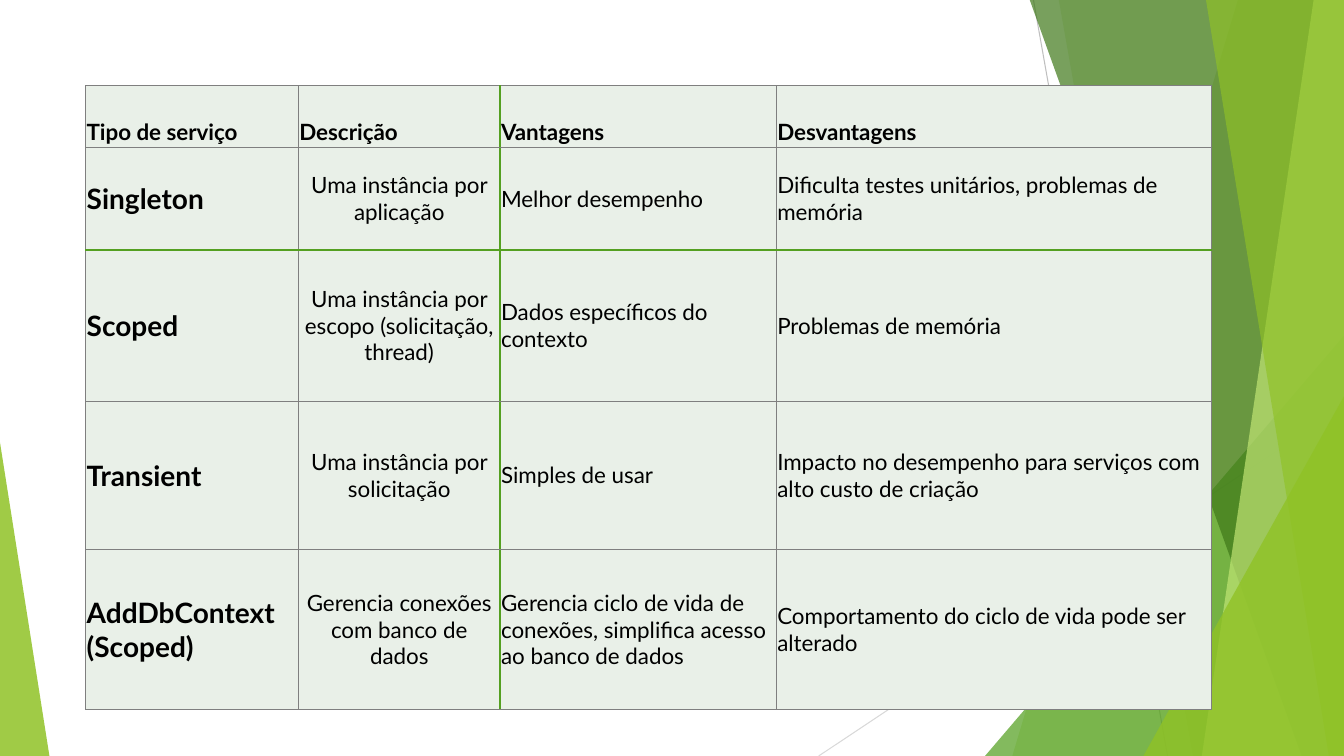
import pptx
import pptx.util
import pptx.dml.color
import pptx.enum.shapes
import pptx.enum.text
import pptx.oxml
import pptx.oxml.ns

Inches = pptx.util.Inches
Pt = pptx.util.Pt
RGBColor = pptx.dml.color.RGBColor
ALIGN = pptx.enum.text.PP_ALIGN
ANCHOR = pptx.enum.text.MSO_ANCHOR

LIME = RGBColor(0x90, 0xC2, 0x26)
GREEN = RGBColor(0x54, 0xA0, 0x21)
DARK = RGBColor(0x3F, 0x78, 0x19)
PALE = RGBColor(0xC0, 0xE4, 0x74)
MINT = RGBColor(0xE9, 0xF0, 0xE8)
BLACK = RGBColor(0, 0, 0)
GREY = RGBColor(0x7F, 0x7F, 0x7F)
SILVER = RGBColor(0xBF, 0xBF, 0xBF)
LIGHT = RGBColor(0xD9, 0xD9, 0xD9)

WIDTH, HEIGHT = 13.33, 7.5
COLS = [2.11, 2, 2.74, 4.32]
ROWS = [0.61, 1.02, 1.5, 1.47, 1.59]
TEXTS = [
    ["Tipo de serviço", "Descrição", "Vantagens", "Desvantagens"],
    ["Singleton", "Uma instância por aplicação", "Melhor desempenho",
     "Dificulta testes unitários, problemas de memória"],
    ["Scoped", "Uma instância por escopo (solicitação, thread)",
     "Dados específicos do contexto", "Problemas de memória"],
    ["Transient", "Uma instância por solicitação", "Simples de usar",
     "Impacto no desempenho para serviços com alto custo de criação"],
    ["AddDbContext (Scoped)", "Gerencia conexões com banco de dados",
     "Gerencia ciclo de vida de conexões, simplifica acesso ao banco de dados",
     "Comportamento do ciclo de vida pode ser alterado"],
]


def add_line(slide, start, end, color):
    kind = pptx.enum.shapes.MSO_CONNECTOR.STRAIGHT
    line = slide.shapes.add_connector(kind, *map(Inches, start + end))
    line.line.color.rgb = color
    line.line.width = Pt(0.75)
    props = line.element.spPr
    props.append(props.makeelement(pptx.oxml.ns.qn("a:effectLst"), {}))


def paint(shape, color, alpha):
    """Fill the shape with a see-through colour; alpha is in percent."""
    shape.shadow.inherit = False
    shape.line.fill.background()
    shape.fill.solid()
    shape.fill.fore_color.rgb = color
    tone = shape.element.spPr.find(".//" + pptx.oxml.ns.qn("a:srgbClr"))
    tone.append(tone.makeelement(pptx.oxml.ns.qn("a:alpha"),
                                 {"val": str(alpha * 1000)}))


def add_band(slide, top, foot, color, alpha):
    """Draw a band from a slanted left edge to the right slide edge."""
    pen = slide.shapes.build_freeform(Inches(top), Inches(-0.01))
    points = [(WIDTH, -0.01), (WIDTH, HEIGHT), (foot, HEIGHT)]
    pen.add_line_segments([(Inches(x), Inches(y)) for x, y in points])
    paint(pen.convert_to_shape(), color, alpha)


def add_wedge(slide, left, top, width, peak, color, alpha):
    """Draw a triangle that stands on the bottom edge of the slide."""
    kind = pptx.enum.shapes.MSO_SHAPE.ISOSCELES_TRIANGLE
    box = map(Inches, (left, top, width, HEIGHT - top))
    wedge = slide.shapes.add_shape(kind, *box)
    wedge.adjustments[0] = peak
    paint(wedge, color, alpha)


def add_decor(slide):
    add_line(slide, (10.25, 0), (11.58, HEIGHT), SILVER)
    add_line(slide, (WIDTH, 4.03), (8.12, HEIGHT), LIGHT)
    add_band(slide, 12.28, 10.04, LIME, 30)
    add_band(slide, 10.5, 11.83, LIME, 20)
    add_wedge(slide, 9.77, 3.33, 3.56, 1, GREEN, 72)
    add_band(slide, 10.21, 12.91, DARK, 70)
    add_band(slide, 13.03, 11.92, PALE, 70)
    add_band(slide, 11.96, 13.18, LIME, 65)
    add_wedge(slide, 11.34, 3.93, 1.99, 1, LIME, 80)
    add_wedge(slide, 0, 4.39, 0.49, 0, LIME, 85)


def set_border(cell, side, color):
    props = cell._tc.get_or_add_tcPr()
    props.append(pptx.oxml.parse_xml(
        f'<a:{side} {pptx.oxml.ns.nsdecls("a")} w="12700"><a:solidFill>'
        f'<a:srgbClr val="{color}"/></a:solidFill></a:{side}>'))


def fill_cell(cell, text, row, col):
    cell.margin_left = cell.margin_right = Inches(0.01)
    cell.margin_top = cell.margin_bottom = Inches(0.02)
    cell.vertical_anchor = ANCHOR.MIDDLE if row else ANCHOR.BOTTOM
    cell.text = text
    para = cell.text_frame.paragraphs[0]
    para.alignment = ALIGN.CENTER if row and col == 1 else ALIGN.LEFT
    para.font.name = "Lato"
    para.font.size = Pt(20 if row and col == 0 else 16)
    para.font.bold = row == 0 or col == 0
    para.font.color.rgb = BLACK
    # Green rules follow the second column and the second row.
    set_border(cell, "lnL", GREEN if col == 2 else GREY)
    set_border(cell, "lnR", GREEN if col == 1 else GREY)
    set_border(cell, "lnT", GREEN if row == 2 else GREY)
    set_border(cell, "lnB", GREEN if row == 1 else GREY)
    cell.fill.solid()
    cell.fill.fore_color.rgb = MINT


def add_grid(slide):
    box = map(Inches, (0.85, 0.85, sum(COLS), sum(ROWS)))
    table = slide.shapes.add_table(len(ROWS), len(COLS), *box).table
    for col, width in enumerate(COLS):
        table.columns[col].width = Inches(width)
    for row, height in enumerate(ROWS):
        table.rows[row].height = Inches(height)
        for col, text in enumerate(TEXTS[row]):
            fill_cell(table.cell(row, col), text, row, col)


def main():
    deck = pptx.Presentation()
    deck.slide_width = Inches(WIDTH)
    deck.slide_height = Inches(HEIGHT)
    slide = deck.slides.add_slide(deck.slide_layouts[6])
    add_decor(slide)
    add_grid(slide)
    deck.save("out.pptx")


if __name__ == "__main__":
    main()
